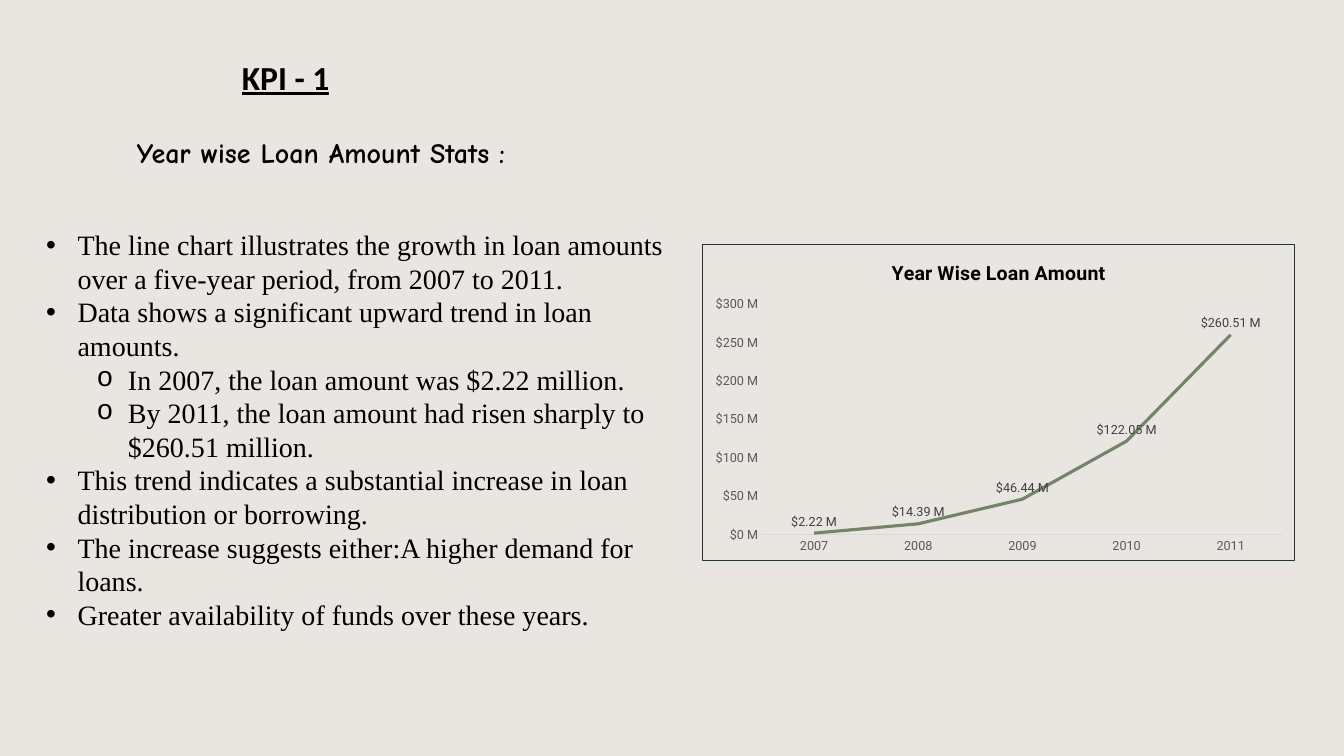
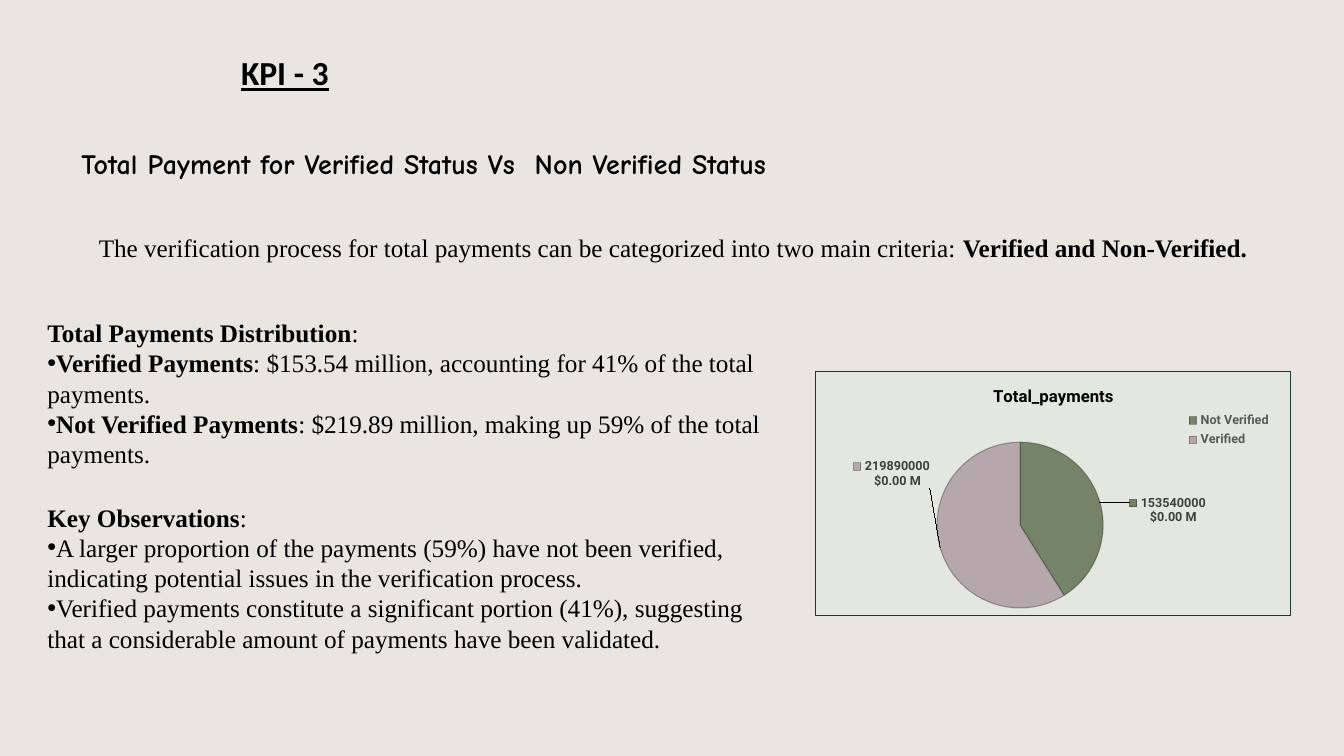
from copy import deepcopy
from dataclasses import dataclass

from pptx import Presentation
from pptx.chart.chart import Chart
from pptx.chart.data import CategoryChartData as Data
from pptx.dml.color import RGBColor as Rgb
from pptx.enum.chart import XL_CHART_TYPE as Kind
from pptx.enum.chart import XL_LABEL_POSITION as Spot
from pptx.enum.chart import XL_LEGEND_POSITION as Side
from pptx.enum.chart import XL_MARKER_STYLE as Mark
from pptx.enum.chart import XL_TICK_MARK as Tick
from pptx.enum.text import MSO_ANCHOR as Anchor
from pptx.enum.text import MSO_AUTO_SIZE as Fit
from pptx.enum.text import PP_ALIGN as Align
from pptx.oxml import parse_xml
from pptx.oxml.ns import nsdecls, qn
from pptx.slide import Slide
from pptx.text.text import Font, TextFrame
from pptx.util import Cm, Pt


@dataclass(frozen=True)
class Theme:
    back: str = "E9E5E1"
    ink: str = "000000"
    edge: str = "21363B"
    green: str = "758468"
    mauve: str = "B5A7AC"
    pale: str = "E3E7E0"
    axis: str = "595959"
    label: str = "404040"
    rule: str = "D9D9D9"
    head: str = "Calibri"
    sub: str = "Comic Neue"
    body: str = "Times New Roman"
    graph: str = "Roboto"
    big: int = 24
    mid: int = 20
    text: int = 18
    large: int = 14
    note: int = 12
    base: int = 10
    tiny: int = 9


@dataclass(frozen=True)
class Style:
    face: str
    size: int
    color: str
    bold: bool | None = None
    under: bool | None = None


@dataclass(frozen=True)
class Box:
    left: float
    top: float
    width: float
    height: float

    def cm(self) -> tuple[Cm, Cm, Cm, Cm]:
        return Cm(self.left), Cm(self.top), Cm(self.width), Cm(self.height)


@dataclass(frozen=True)
class Bullet:
    char: str
    face: str = "Arial"
    margin: float = 0
    hang: float = 0


@dataclass(frozen=True)
class Line:
    texts: tuple[str, ...]
    bullet: Bullet | None = None
    level: int = 0


@dataclass(frozen=True)
class Plot:
    kind: Kind
    box: Box
    title: str
    size: int
    names: tuple[str, ...]
    values: tuple[int, ...]
    area: Box
    fill: str | None = None


T = Theme()
HEAD = Style(T.head, T.big, T.ink, True, True)
SUB = Style(T.sub, T.mid, T.ink, True)
LIST = Style(T.body, T.mid, T.ink)
TEXT = Style(T.body, T.text, T.ink)
AXIS = Style(T.graph, T.tiny, T.axis)
KEY = Style(T.graph, T.tiny, T.axis, True)
DOT = Bullet("•", margin=0.79, hang=0.79)
RING = Bullet("o", "Courier New", 2.06, 0.79)
FLAT = Bullet("•")
MONEY = '\\$#,##0.00,,\\ "M"'
ROUND = '\\$#,##0,,\\ "M"'


def dress(font: Font, style: Style) -> None:
    font.name, font.size = style.face, Pt(style.size)
    font.bold, font.underline = style.bold, style.under
    font.color.rgb = Rgb.from_string(style.color)


def write(frame: TextFrame, lines: list[Line], style: Style) -> None:
    frame.word_wrap, frame.auto_size = True, Fit.NONE
    frame.vertical_anchor = Anchor.TOP
    for row, line in enumerate(lines):
        para = frame.add_paragraph() if row else frame.paragraphs[0]
        para.alignment, para.level = Align.LEFT, line.level
        para.space_before = Pt(0)
        props = para._p.get_or_add_pPr()
        mark = line.bullet or Bullet("")
        props.set("marL", str(Cm(mark.margin)))
        props.set("indent", str(-Cm(mark.hang)))
        if line.bullet:
            props.append(parse_xml(f'<a:buFont {nsdecls("a")} typeface="{mark.face}"/>'))
            props.append(parse_xml(f'<a:buChar {nsdecls("a")} char="{mark.char}"/>'))
        else:
            props.append(parse_xml(f'<a:buNone {nsdecls("a")}/>'))
        dress(para.font, style)
        for turn, text in enumerate(line.texts):
            if text:
                run = para.add_run()
                run.text = text
                if turn % 2:
                    run.font.bold = True


def place(slide: Slide, slot: int, box: Box, lines: list[Line], style: Style) -> None:
    shape = slide.placeholders[slot]
    shape.left, shape.top, shape.width, shape.height = box.cm()
    write(shape.text_frame, lines, style)


def label(slide: Slide, box: Box, line: Line, style: Style) -> None:
    write(slide.shapes.add_textbox(*box.cm()).text_frame, [line], style)


def layout(box: Box, inner: bool = False, moved: bool = False):
    target = '<c:layoutTarget val="inner"/>' if inner else ""
    modes = "" if moved else '<c:xMode val="edge"/><c:yMode val="edge"/>'
    size = "" if moved else f'<c:w val="{box.width}"/><c:h val="{box.height}"/>'
    return parse_xml(
        f'<c:layout {nsdecls("c")}><c:manualLayout>{target}{modes}'
        f'<c:x val="{box.left}"/><c:y val="{box.top}"/>{size}'
        "</c:manualLayout></c:layout>"
    )


def clear(parent) -> None:
    for old in parent.findall(qn("c:layout")):
        parent.remove(old)


def draw(slide: Slide, plot: Plot) -> Chart:
    data = Data()
    data.categories = plot.names
    data.add_series("Series 1", plot.values)
    chart = slide.shapes.add_chart(plot.kind, *plot.box.cm(), data).chart
    dress(chart.font, Style(T.graph, T.base, T.ink))
    chart.has_legend = False
    chart.has_title = True
    chart.chart_title.include_in_layout = False
    title = chart.chart_title.text_frame
    title.text = plot.title
    dress(title.paragraphs[0].font, Style(T.graph, plot.size, T.ink, True))
    paint = "<a:noFill/>"
    if plot.fill:
        paint = f'<a:solidFill><a:srgbClr val="{plot.fill}"/></a:solidFill>'
    chart.element.find(qn("c:chart")).addnext(parse_xml(
        f'<c:spPr {nsdecls("c", "a")}>{paint}<a:ln w="{Pt(0.75)}"><a:solidFill>'
        f'<a:srgbClr val="{T.edge}"/></a:solidFill></a:ln></c:spPr>'
    ))
    area = chart.element.xpath("c:chart/c:plotArea")[0]
    clear(area)
    area.insert(0, layout(plot.area, inner=True))
    return chart


def tag(chart: Chart, spot: Spot, bold: bool) -> None:
    tags = chart.plots[0].series[0].data_labels
    tags.show_value, tags.position = True, spot
    tags.number_format, tags.number_format_is_linked = MONEY, False
    dress(tags.font, Style(T.graph, T.tiny, T.label, bold))


def trend(slide: Slide, plot: Plot) -> None:
    chart = draw(slide, plot)
    for axis in (chart.category_axis, chart.value_axis):
        axis.major_tick_mark = axis.minor_tick_mark = Tick.NONE
        axis.has_major_gridlines = False
        dress(axis.tick_labels.font, AXIS)
    base = chart.category_axis.format.line
    base.color.rgb, base.width = Rgb.from_string(T.rule), Pt(0.75)
    scale = chart.value_axis
    scale.format.line.fill.background()
    scale.minimum_scale, scale.maximum_scale = 0, 300_000_000
    scale.major_unit = 50_000_000
    scale.tick_labels.number_format = ROUND
    scale.tick_labels.number_format_is_linked = False
    chart.plots[0].vary_by_categories = False
    series = chart.plots[0].series[0]
    series.smooth, series.marker.style = False, Mark.NONE
    stroke = series.format.line
    stroke.color.rgb, stroke.width = Rgb.from_string(T.green), Pt(2.25)
    tag(chart, Spot.ABOVE, False)


def share(slide: Slide, plot: Plot, shifts: tuple[Box, ...]) -> None:
    chart = draw(slide, plot)
    chart.plots[0].vary_by_categories = True
    series = chart.plots[0].series[0]
    for spot, color in enumerate((T.green, T.mauve)):
        form = series.points[spot].format
        form.fill.solid()
        form.fill.fore_color.rgb = Rgb.from_string(color)
        form.line.color.rgb, form.line.width = Rgb.from_string(T.ink), Pt(0.75)
    for tint in chart.element.xpath(".//c:dPt//a:ln//a:srgbClr"):
        tint.append(parse_xml(f'<a:alpha {nsdecls("a")} val="30000"/>'))
    tag(chart, Spot.OUTSIDE_END, True)
    tags = series.data_labels
    tags.show_percentage = tags.show_legend_key = True
    group = chart.element.xpath(".//c:ser/c:dLbls")[0]
    group.find(qn("c:showBubbleSize")).addnext(
        parse_xml(f'<c:separator {nsdecls("c")}>\n</c:separator>'))
    shared = [node for node in group if node.tag != qn("c:showLeaderLines")]
    for spot, shift in enumerate(shifts):
        item = parse_xml(f'<c:dLbl {nsdecls("c")}><c:idx val="{spot}"/></c:dLbl>')
        item.append(layout(shift, moved=True))
        for node in shared:
            item.append(deepcopy(node))
        group.insert(spot, item)
    chart.has_legend = True
    legend = chart.legend
    legend.position, legend.include_in_layout = Side.RIGHT, False
    dress(legend.font, KEY)
    frame = chart.element.xpath("c:chart/c:legend")[0]
    clear(frame)
    frame.find(qn("c:legendPos")).addnext(layout(Box(0.77, 0.15, 0.2, 0.18)))


def loans(deck) -> None:
    slide = deck.slides.add_slide(deck.slide_layouts[1])
    place(slide, 0, Box(5.84, 1.3, 4.29, 1.27), [Line(("KPI - 1",))], HEAD)
    label(slide, Box(3.2, 3.3, 12.75, 1.12), Line(("Year wise Loan Amount Stats :",)), SUB)
    trend(slide, Plot(
        Kind.LINE, Box(17.7, 6.15, 14.94, 7.98), "Year Wise Loan Amount", T.large,
        ("2007", "2008", "2009", "2010", "2011"),
        (2_220_000, 14_390_000, 46_440_000, 122_050_000, 260_510_000),
        Box(0.1, 0.19, 0.88, 0.73)))
    place(slide, 1, Box(0.91, 5.61, 16.41, 11.38), [
        Line(("The line chart illustrates the growth in loan amounts over a five-year period, from 2007 to 2011.",), DOT),
        Line(("Data shows a significant upward trend in loan amounts.",), DOT),
        Line(("In 2007, the loan amount was $2.22 million.",), RING, 1),
        Line(("By 2011, the loan amount had risen sharply to $260.51 million.",), RING, 1),
        Line(("This trend indicates a substantial increase in loan distribution or borrowing.",), DOT),
        Line(("The increase suggests either:A higher demand for loans.",), DOT),
        Line(("Greater availability of funds over these years.",), DOT),
    ], LIST)


def payments(deck) -> None:
    slide = deck.slides.add_slide(deck.slide_layouts[3])
    place(slide, 0, Box(5.82, 1.19, 4.29, 1.27), [Line(("KPI - 3",))], HEAD)
    label(slide, Box(1.8, 3.56, 25.83, 1.12),
          Line(("Total Payment for Verified Status Vs  Non Verified Status",)), SUB)
    share(slide, Plot(
        Kind.PIE, Box(20.55, 9.35, 11.99, 6.17), "Total_payments", T.note,
        ("Not Verified", "Verified"), (153_540_000, 219_890_000),
        Box(0.2, 0.29, 0.46, 0.68), T.pale),
        (Box(0.05, 0.1, 0, 0), Box(-0.01, -0.37, 0, 0)))
    place(slide, 1, Box(0.94, 7.87, 18.59, 4.11), [
        Line(("", "Total Payments Distribution", ":")),
        Line(("", "Verified Payments", ": $153.54 million, accounting for 41% of the total payments."), FLAT),
        Line(("", "Not Verified Payments", ": $219.89 million, making up 59% of the total payments."), FLAT),
    ], TEXT)
    place(slide, 2, Box(0.94, 12.52, 18.85, 4.11), [
        Line(("", "Key Observations", ":")),
        Line(("A larger proportion of the payments (59%) have not been verified, indicating potential issues in the verification process.",), FLAT),
        Line(("Verified payments constitute a significant portion (41%), suggesting that a considerable amount of payments have been validated.",), FLAT),
    ], TEXT)
    label(slide, Box(2.24, 5.72, 30.84, 1.02), Line((
        "The verification process for total payments can be categorized into two main criteria: ",
        "Verified and Non-Verified.")), TEXT)


def main() -> None:
    deck = Presentation()
    deck.slide_width, deck.slide_height = Cm(33.87), Cm(19.05)
    back = deck.slide_master.background.fill
    back.solid()
    back.fore_color.rgb = Rgb.from_string(T.back)
    loans(deck)
    payments(deck)
    deck.save("out.pptx")


if __name__ == "__main__":
    main()
